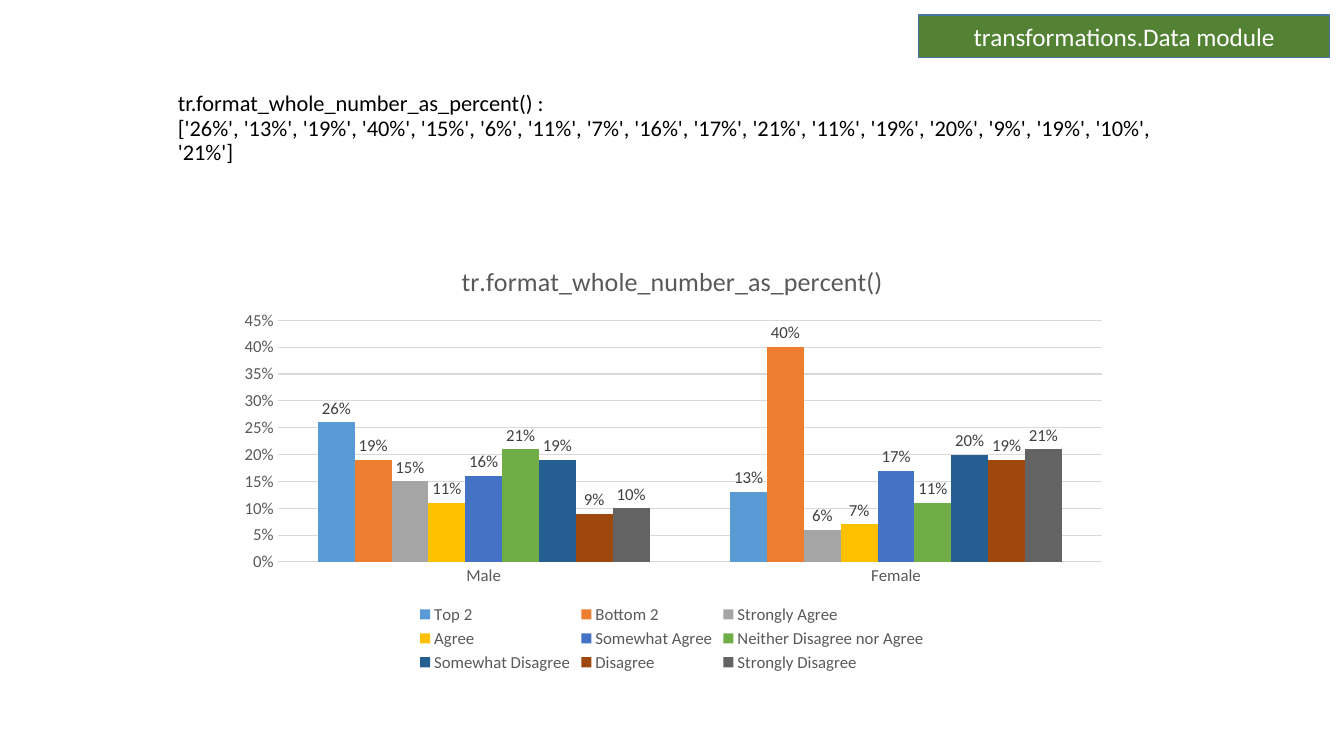
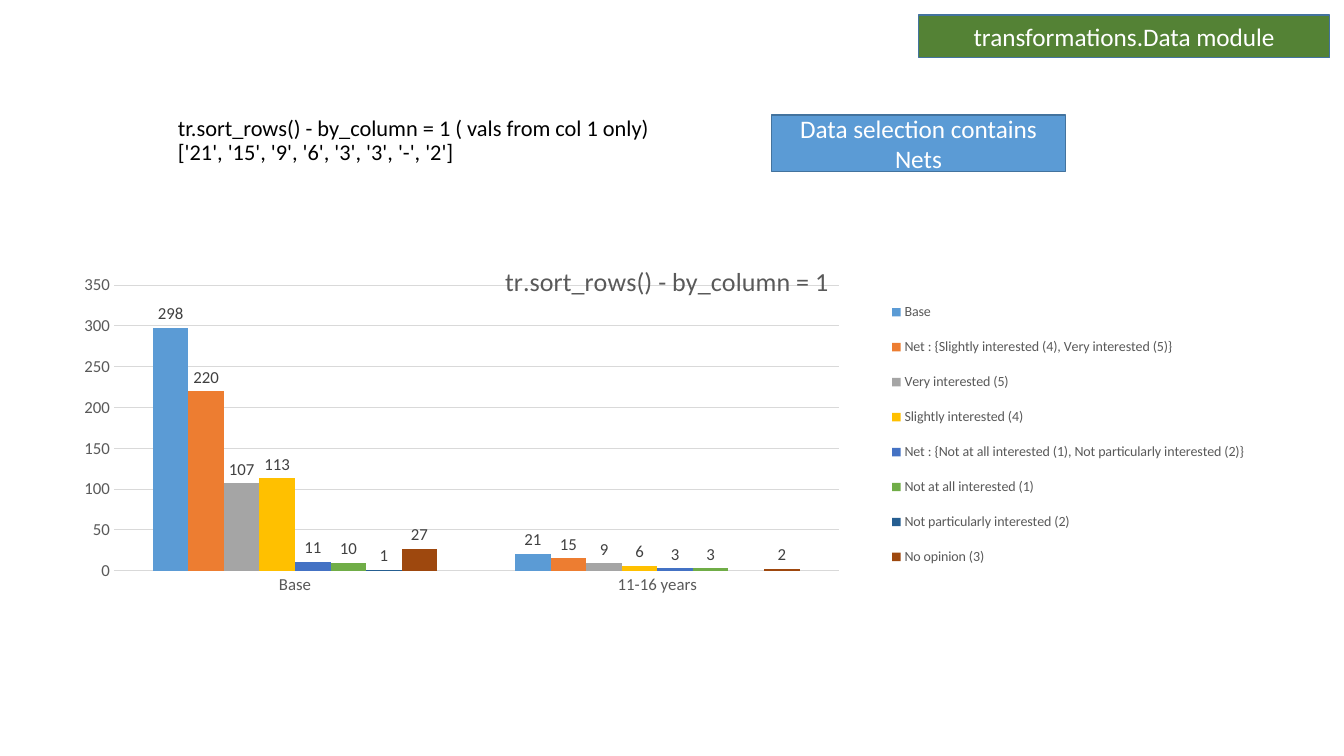
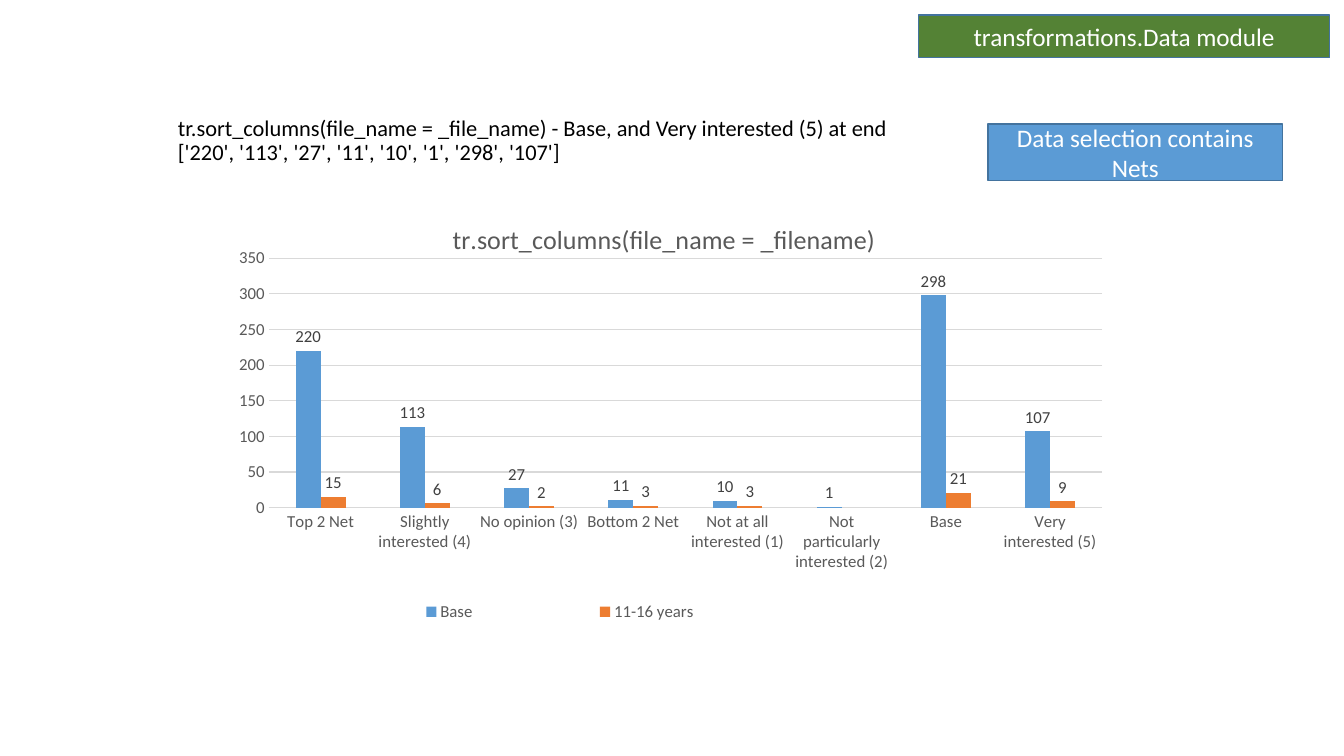
"""Build three slides of clustered column charts for the transformations.Data module."""
from lxml.etree import SubElement
from pptx import Presentation
from pptx.chart.data import CategoryChartData
from pptx.dml.color import RGBColor
from pptx.enum.chart import XL_CHART_TYPE as ChartType, XL_LABEL_POSITION as LabelAt
from pptx.enum.chart import XL_LEGEND_POSITION as LegendAt, XL_TICK_MARK as Tick
from pptx.enum.shapes import MSO_SHAPE as Preset
from pptx.enum.text import MSO_ANCHOR as Anchor, PP_ALIGN as Align
from pptx.oxml.ns import qn
from pptx.util import Inches, Pt

FONT = "Calibri"
GREEN, BLUE, EDGE, WHITE, BLACK = "548235", "5B9BD5", "43739E", "FFFFFF", "000000"
GREY, LABEL_GREY, GRID_GREY = "595959", "404040", "D9D9D9"
SERIES_COLOURS = [BLUE, "ED7D31", "A5A5A5", "FFC000", "4472C4", "70AD47",
                  "255E91", "9E480E", "636363"]
MODULE_NAME = "transformations.Data module"
NETS_NOTE = "Data selection contains Nets"

deck = Presentation()
deck.slide_width, deck.slide_height = Inches(13.33), Inches(7.5)
COL, ROW = deck.slide_width / 100, deck.slide_height / 100

PAGES = [
    dict(
        heading="tr.format_whole_number_as_percent() :\v"
                "['26%', '13%', '19%', '40%', '15%', '6%', '11%', '7%', '16%', '17%', '21%', "
                "'11%', '19%', '20%', '9%', '19%', '10%', '21%']",
        title="tr.format_whole_number_as_percent()",
        area=(16.65, 31.33, 66.7, 58.13), note_at=None,
        title_at=(0.26, 0.05), plot_at=(0.06, 0.19, 0.92, 0.55), legend_at=None,
        legend=LegendAt.BOTTOM, legend_size=12, number_format="0%", top=0.45, step=0.05,
        categories=["Male", "Female"],
        series=[
            ("Top 2", (0.26, 0.13)),
            ("Bottom 2", (0.19, 0.4)),
            ("Strongly Agree", (0.15, 0.06)),
            ("Agree", (0.11, 0.07)),
            ("Somewhat Agree", (0.16, 0.17)),
            ("Neither Disagree nor Agree", (0.21, 0.11)),
            ("Somewhat Disagree", (0.19, 0.2)),
            ("Disagree", (0.09, 0.19)),
            ("Strongly Disagree", (0.1, 0.21)),
        ]),
    dict(
        heading="tr.sort_rows() - by_column = 1 ( vals from col 1 only)\v"
                "['21', '15', '9', '6', '3', '3', '-', '2']",
        title="tr.sort_rows() - by_column = 1",
        area=(3.98, 31.33, 89.87, 58.13), note_at=(57.39, 15.2),
        title_at=(0.37, 0.05), plot_at=(0.05, 0.11, 0.6, 0.65),
        legend_at=(0.68, 0.11, 0.32, 0.68),
        legend=LegendAt.RIGHT, legend_size=10, number_format="0", top=350, step=50,
        categories=["Base", "11-16 years"],
        series=[
            ("Base", (298, 21)),
            ("Net : {Slightly interested (4), Very interested (5)}", (220, 15)),
            ("Very interested (5)", (107, 9)),
            ("Slightly interested (4)", (113, 6)),
            ("Net : {Not at all interested (1), Not particularly interested (2)}", (11, 3)),
            ("Not at all interested (1)", (10, 3)),
            ("Not particularly interested (2)", (1, None)),
            ("No opinion (3)", (27, 2)),
        ]),
    dict(
        heading="tr.sort_columns(file_name = _file_name) - Base, and Very interested (5) at end\v"
                "['220', '113', '27', '11', '10', '1', '298', '107']",
        title="tr.sort_columns(file_name = _filename)",
        area=(15.98, 25.2, 66.7, 68.8), note_at=(73.52, 16.4),
        title_at=(0.26, 0.05), plot_at=(0.06, 0.13, 0.93, 0.48),
        legend_at=(0.1, 0.78, 0.57, 0.06),
        legend=LegendAt.BOTTOM, legend_size=12, number_format="0", top=350, step=50,
        categories=["Top 2 Net", "Slightly interested (4)", "No opinion (3)", "Bottom 2 Net",
                    "Not at all interested (1)", "Not particularly interested (2)", "Base",
                    "Very interested (5)"],
        series=[
            ("Base", (220, 113, 27, 11, 10, 1, 298, 107)),
            ("11-16 years", (15, 6, 2, 3, 3, None, 21, 9)),
        ]),
]


def style(font, size, colour):
    """Set the shared typeface with a size and a hex colour."""
    font.name, font.size, font.bold = FONT, Pt(size), False
    font.color.rgb = RGBColor.from_string(colour)


def place(part, index, shares, inner=False):
    """Give a chart part a manual layout in shares of the chart area."""
    for old in part.findall(qn("c:layout")):
        part.remove(old)
    layout = SubElement(part, qn("c:layout"))
    part.insert(index, layout)
    manual = SubElement(layout, qn("c:manualLayout"))
    settings = [("layoutTarget", "inner")] if inner else []
    settings += [("xMode", "edge"), ("yMode", "edge")]
    settings += zip("xywh", shares)
    for tag, value in settings:
        SubElement(manual, qn("c:" + tag)).set("val", str(value))


for page in PAGES:
    slide = deck.slides.add_slide(deck.slide_layouts[6])

    heading = slide.shapes.add_textbox(
        int(12.5 * COL), int(12.5 * ROW), int(75 * COL), int(10 * ROW)).text_frame
    heading.word_wrap, heading.vertical_anchor = True, Anchor.BOTTOM
    heading.text = page["heading"]
    heading.paragraphs[0].line_spacing = 0.9
    style(heading.paragraphs[0].font, 16, BLACK)

    left, top, width, height = page["area"]
    data = CategoryChartData(number_format=page["number_format"])
    data.categories = page["categories"]
    for name, values in page["series"]:
        data.add_series(name, values)
    chart = slide.shapes.add_chart(
        ChartType.COLUMN_CLUSTERED, int(left * COL), int(top * ROW),
        int(width * COL), int(height * ROW), data).chart
    style(chart.font, 10, BLACK)

    chart_title = chart.chart_title
    chart_title.text_frame.text = page["title"]
    style(chart_title.text_frame.paragraphs[0].font, 18.6, GREY)
    place(chart_title._element, 1, page["title_at"])
    place(chart._chartSpace.chart.plotArea, 0, page["plot_at"], inner=True)

    chart.has_legend = True
    chart.legend.position = page["legend"]
    chart.legend.include_in_layout = False
    style(chart.legend.font, page["legend_size"], GREY)
    if page["legend_at"]:
        place(chart.legend._element, 1, page["legend_at"])

    categories, scale = chart.category_axis, chart.value_axis
    for axis in (categories, scale):
        axis.major_tick_mark = axis.minor_tick_mark = Tick.NONE
        style(axis.tick_labels.font, 12, GREY)
    scale.minimum_scale, scale.maximum_scale = 0, page["top"]
    scale.major_unit = page["step"]
    scale.tick_labels.number_format = page["number_format"]
    scale.tick_labels.number_format_is_linked = False
    scale.format.line.fill.background()
    for line in (categories.format.line, scale.major_gridlines.format.line):
        line.color.rgb, line.width = RGBColor.from_string(GRID_GREY), Pt(0.75)

    plot = chart.plots[0]
    plot.gap_width, plot.overlap, plot.vary_by_categories = 219, 0, False
    for series, colour in zip(plot.series, SERIES_COLOURS):
        series.format.fill.solid()
        series.format.fill.fore_color.rgb = RGBColor.from_string(colour)
        labels = series.data_labels
        labels.show_value, labels.position = True, LabelAt.OUTSIDE_END
        labels.number_format = page["number_format"]
        labels.number_format_is_linked = False
        style(labels.font, 12, LABEL_GREY)

    boxes = [(MODULE_NAME, GREEN, (68.34, 2), (30.6, 5.6))]
    if page["note_at"]:
        boxes.append((NETS_NOTE, BLUE, page["note_at"], (21.9, 7.47)))
    for wording, colour, (left, top), (width, height) in boxes:
        box = slide.shapes.add_shape(Preset.RECTANGLE, int(left * COL), int(top * ROW),
                                     int(width * COL), int(height * ROW))
        box.shadow.inherit = False
        box.fill.solid()
        box.fill.fore_color.rgb = RGBColor.from_string(colour)
        box.line.color.rgb, box.line.width = RGBColor.from_string(EDGE), Pt(1)
        box.text_frame.word_wrap, box.text_frame.vertical_anchor = True, Anchor.MIDDLE
        box.text_frame.text = wording
        box.text_frame.paragraphs[0].alignment = Align.CENTER
        style(box.text_frame.paragraphs[0].font, 18, WHITE)

deck.save("out.pptx")
